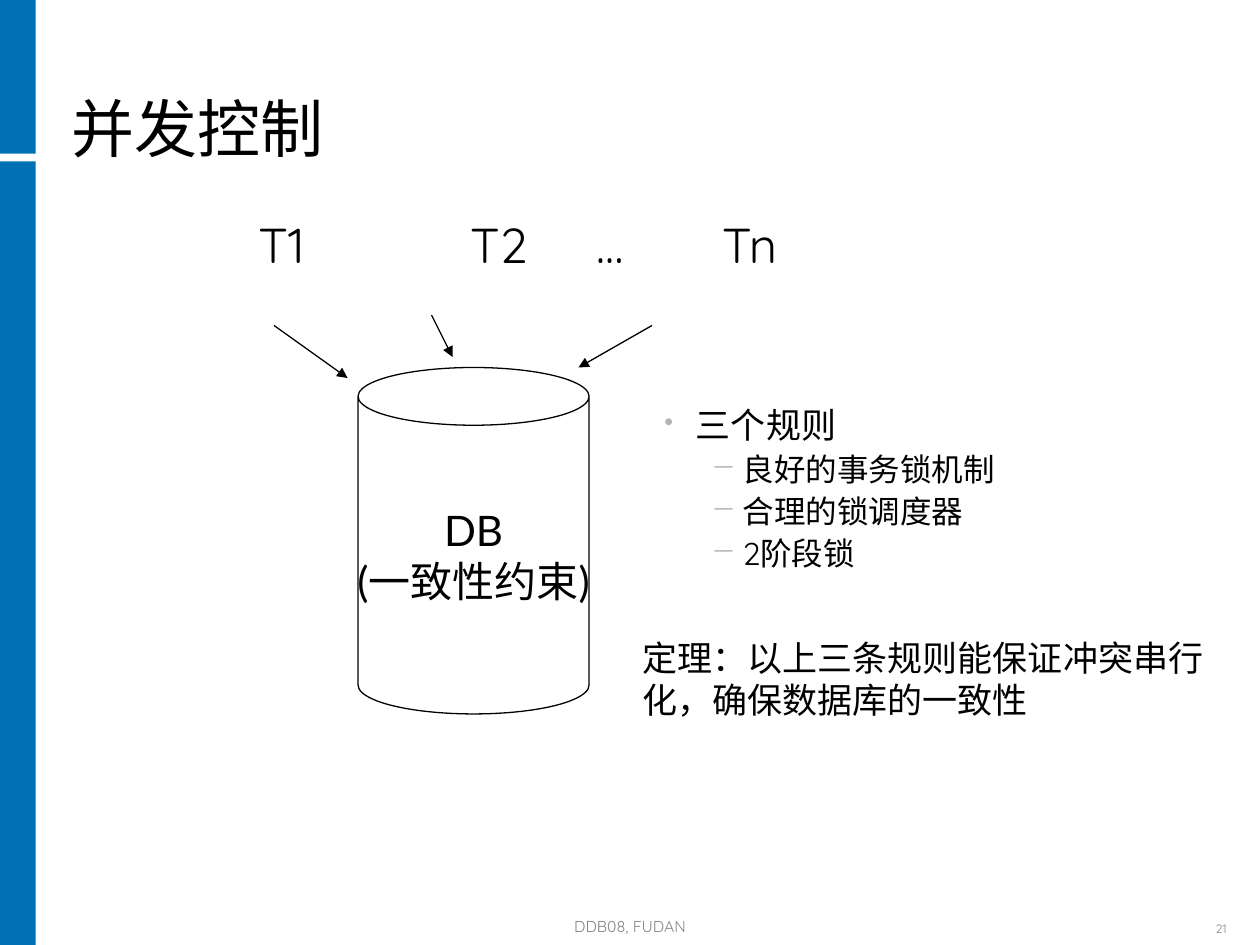
from lxml import etree
from pptx import Presentation
from pptx.dml.color import RGBColor
from pptx.enum.shapes import MSO_CONNECTOR, MSO_SHAPE
from pptx.enum.text import MSO_ANCHOR, MSO_AUTO_SIZE, PP_ALIGN
from pptx.oxml.ns import qn
from pptx.util import Inches, Pt

RECT, CAN, LINE = MSO_SHAPE.RECTANGLE, MSO_SHAPE.CAN, MSO_CONNECTOR.STRAIGHT
TOP, MID, LOW = MSO_ANCHOR.TOP, MSO_ANCHOR.MIDDLE, MSO_ANCHOR.BOTTOM
LEFT, MIDST, RIGHT = PP_ALIGN.LEFT, PP_ALIGN.CENTER, PP_ALIGN.RIGHT
NO_FIT = MSO_AUTO_SIZE.NONE

BLUE = RGBColor(0x00, 0x71, 0xB4)
BLACK = RGBColor(0, 0, 0)
WHITE = RGBColor(255, 255, 255)
GREY = RGBColor(0x84, 0x85, 0x89)
SANS, DATA, SERIF = "Quicksand", "Lato", "TeX Gyre Pagella"

# The slide is a grid of 120 columns by 90 rows
WIDE, HIGH = Inches(10), Inches(7.5)
COL, ROW = WIDE / 120, HIGH / 90


def grid(x, y, *size):
    """Turn columns and rows into lengths: a point, or a whole box."""
    pairs = [(x, y), size] if size else [(x, y)]
    return [n for c, r in pairs for n in (round(c * COL), round(r * ROW))]


def style(par, size, font=SANS, color=BLACK, align=LEFT):
    par.font.size, par.font.name = Pt(size), font
    par.font.color.rgb = color
    par.alignment = align


def space(par, before, after, line=0.9):
    par.space_before, par.space_after = Pt(before), Pt(after)
    par.line_spacing = line


def text(slide, box, words, size, anchor=TOP, **look):
    frame = slide.shapes.add_textbox(*grid(*box)).text_frame
    frame.word_wrap, frame.vertical_anchor = True, anchor
    par = frame.paragraphs[0]
    par.text = words
    style(par, size, **look)
    return frame


def solid(slide, kind, box, fill):
    shape = slide.shapes.add_shape(kind, *grid(*box))
    shape.shadow.inherit = False
    shape.fill.solid()
    shape.fill.fore_color.rgb = fill
    shape.line.fill.background()
    return shape


def arrow(slide, start, end):
    line = slide.shapes.add_connector(LINE, *grid(*start), *grid(*end))
    line.line.color.rgb, line.line.width = BLACK, Pt(0.75)
    etree.SubElement(line.line._get_or_add_ln(), qn("a:tailEnd"), type="triangle")
    etree.SubElement(line._element.spPr, qn("a:effectLst"))


def bullet(par, mark, left, share):
    props = par._p.get_or_add_pPr()
    props.set("marL", str(Inches(left)))
    props.set("indent", str(Inches(-0.25)))
    tint = etree.SubElement(props, qn("a:buClr"))
    etree.SubElement(tint, qn("a:srgbClr"), val="B2B3B5")
    etree.SubElement(props, qn("a:buSzPct"), val=str(share * 1000))
    etree.SubElement(props, qn("a:buChar"), char=mark)


def side(slide, x, y, w, h):
    """Side bar, split by a narrow gap."""
    cut, gap = 14.64, 0.72
    for top, size in ((y, cut), (y + cut + gap, h - cut - gap)):
        solid(slide, RECT, (x, top, w, size), BLUE)


def head(slide, *box):
    title = slide.shapes.title
    title.left, title.top, title.width, title.height = grid(*box)
    frame = title.text_frame
    frame.text = "并发控制"
    frame.auto_size, frame.vertical_anchor = NO_FIT, LOW
    par = frame.paragraphs[0]
    style(par, 36)
    par.line_spacing = 0.9


def tasks(slide, *box):
    """Row of transactions, set apart by tab stops."""
    frame = text(slide, box, "\tT1\tT2\t…\tTn", 28)
    par = frame.paragraphs[0]
    space(par, 10.5, 3.5)
    stops = etree.SubElement(par._p.get_or_add_pPr(), qn("a:tabLst"))
    for stop in (1.57, 3.25, 4.25, 5.25):
        etree.SubElement(stops, qn("a:tab"), pos=str(Inches(stop)), algn="l")


def store(slide, x, y, w, h):
    """Database can with the arrows that lead into it."""
    can = solid(slide, CAN, (x, y, w, h), WHITE)
    can.adjustments[0] = 0.25
    can.line.color.rgb, can.line.width = BLACK, Pt(0.75)
    frame = can.text_frame
    frame.word_wrap, frame.vertical_anchor = False, MID
    frame.text = "DB\n(一致性约束)"
    for par in frame.paragraphs:
        style(par, 24, DATA, align=MIDST)
    for a, b, c, d in ((-8, -4, -1, 1), (7, -5, 9, -1), (w + 6, -4, w - 1, 0)):
        arrow(slide, (x + a, y + b), (x + c, y + d))


def rules(slide, *box):
    frame = text(slide, box, "三个规则", 20)
    lead = frame.paragraphs[0]
    space(lead, 7.5, 2.5)
    bullet(lead, "•", 0.25, 75)
    for words in ("良好的事务锁机制", "合理的锁调度器", "2阶段锁"):
        par = frame.add_paragraph()
        par.text, par.level = words, 1
        style(par, 18)
        space(par, 2.2, 2.2)
        bullet(par, "−", 0.62, 100)


def claim(slide, *box):
    words = "定理：以上三条规则能保证冲突串行化，确保数据库的一致性"
    frame = text(slide, box, words, 20, font=SERIF)
    space(frame.paragraphs[0], 12.5, 5, 1.0)


def foot(slide, x, y, w, h):
    """Course name in the middle, page number at the right."""
    text(slide, (x, y, 64, h), "DDB08, FUDAN", 9, LOW, color=GREY, align=MIDST)
    page = text(slide, (x + w - 10, y, 10, h), "21", 7, LOW, color=GREY, align=RIGHT)
    page.paragraphs[0].line_spacing = 0.8


def main():
    deck = Presentation()
    deck.slide_width, deck.slide_height = WIDE, HIGH
    slide = deck.slides.add_slide(deck.slide_layouts[5])
    side(slide, 0, 0, 3.4, 90)
    foot(slide, 28, 86.75, 90, 3)
    head(slide, 5.6, 1.4, 100, 15)
    tasks(slide, 4.6, 20.5, 97.4, 7.6)
    store(slide, 34.1, 35, 22, 33)
    rules(slide, 62.1, 38.3, 50.2, 38)
    claim(slide, 60, 60, 57.6, 9.2)
    deck.save("out.pptx")


if __name__ == "__main__":
    main()
